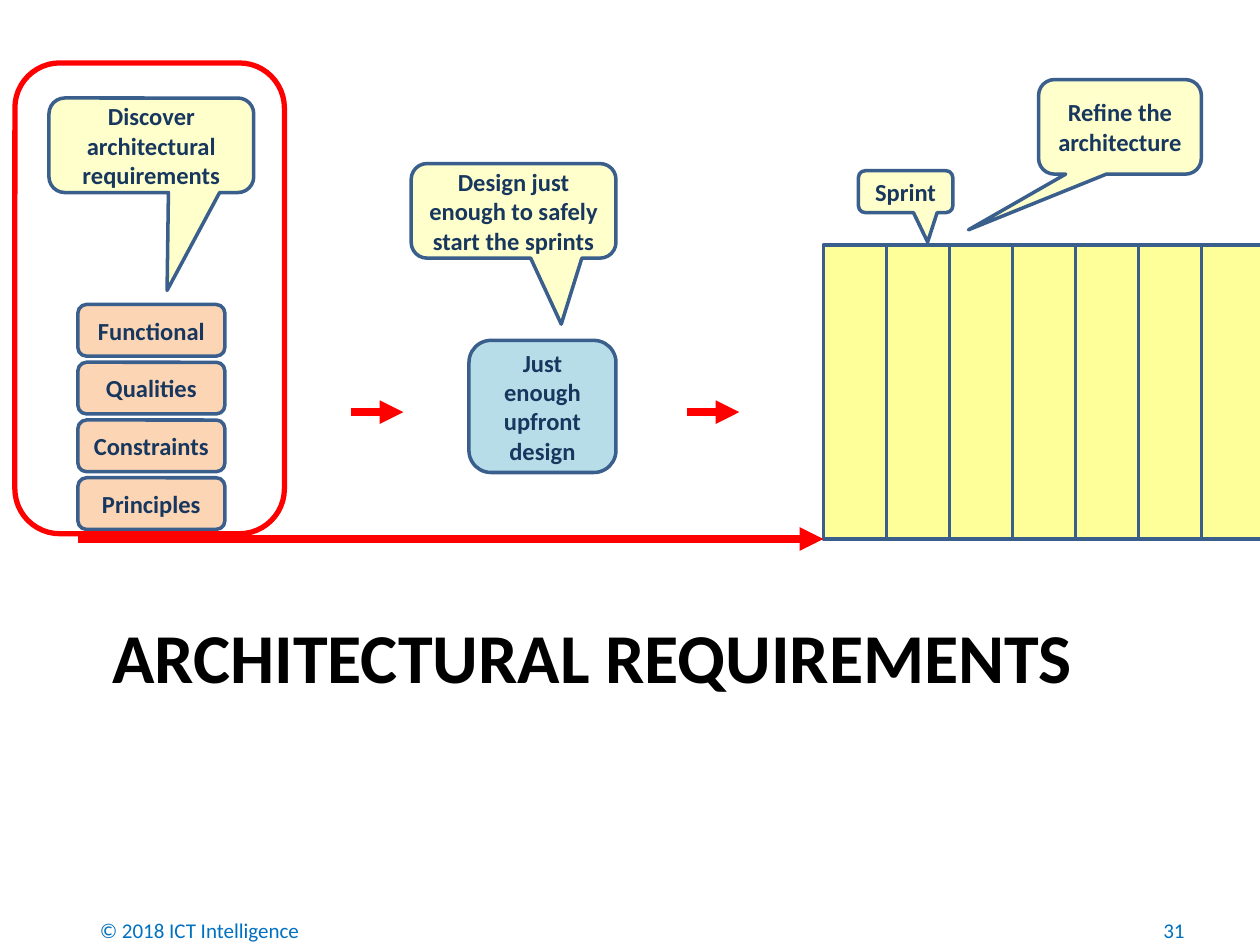
from pptx import Presentation
from pptx.util import Pt
from pptx.dml.color import RGBColor
from pptx.enum import shapes as es, text as et
from pptx.oxml.ns import qn
from lxml import etree

KIND = es.MSO_SHAPE
ALIGN = et.PP_ALIGN
ANCHOR = et.MSO_ANCHOR
BLUE, NAVY, RED, CREAM = "3A5F8C", "17375E", "FF0000", "FFFFCC"


def color(code):
    return RGBColor.from_string(code)


def write(shape, words, size=14, ink=NAVY, bold=True,
          align=ALIGN.CENTER, anchor=ANCHOR.MIDDLE):
    frame = shape.text_frame
    frame.word_wrap = True
    frame.vertical_anchor = anchor
    para = frame.paragraphs[0]
    para.alignment = align
    run = para.add_run()
    run.text = words
    font = run.font
    font.name, font.size, font.bold = "Calibri", Pt(size), bold
    font.color.rgb = color(ink)


def label(slide, box, words, **style):
    write(slide.shapes.add_textbox(*map(Pt, box)), words, **style)


def block(slide, kind, box, fill=None, line=BLUE, width=2, words=None):
    shape = slide.shapes.add_shape(kind, *map(Pt, box))
    shape.shadow.inherit = False
    if fill:
        shape.fill.solid()
        shape.fill.fore_color.rgb = color(fill)
    else:
        shape.fill.background()
    shape.line.color.rgb = color(line)
    shape.line.width = Pt(width)
    if words:
        write(shape, words)
    return shape


def callout(slide, box, words, tip):
    """Draw a speech bubble; tip is its offset as a share of width and height."""
    shape = block(slide, KIND.ROUNDED_RECTANGULAR_CALLOUT, box, CREAM, words=words)
    shape.adjustments[0], shape.adjustments[1] = tip


def arrow(slide, left, y, length):
    link = slide.shapes.add_connector(
        es.MSO_CONNECTOR.STRAIGHT, Pt(left), Pt(y), Pt(left + length), Pt(y))
    link.line.color.rgb = color(RED)
    link.line.width = Pt(4.5)
    etree.SubElement(link.line._get_or_add_ln(), qn("a:tailEnd"), type="triangle")
    etree.SubElement(link._element.spPr, qn("a:effectLst"))


def sprints(slide, left, top, width, height, count=7):
    step = width / count
    for i in range(count):
        block(slide, KIND.RECTANGLE, (left + i * step, top, step, height), "FFFF99")
    callout(slide, (left + 20, top - 42.5, 54, 24), "Sprint", (0.233, 1.199))
    callout(slide, (left + 123, top - 94.5, 93, 54), "Refine the architecture",
            (-0.931, 1.09))


def needs(slide, left, top, width, height):
    callout(slide, (left + 19.5, top + 20, 117, 54),
            "Discover architectural requirements", (0.077, 1.536))
    for i, name in enumerate(("Functional", "Qualities", "Constraints", "Principles")):
        block(slide, KIND.ROUNDED_RECTANGLE,
              (left + 36, top + 138 + i * 33, 84, 29.5), "FCD5B5", words=name)
    block(slide, KIND.ROUNDED_RECTANGLE, (left, top, width, height),
          line=RED, width=3)


def design(slide, left, top, width, height):
    block(slide, KIND.ROUNDED_RECTANGLE,
          (left + width - 84, top + height - 75.5, 84, 75.5), "B7DEE8",
          words="Just enough upfront design")
    callout(slide, (left, top, width, 54),
            "Design just enough to safely start the sprints", (0.233, 1.199))


def footer(slide, top, height):
    style = dict(size=12, ink="0070C0", bold=False)
    label(slide, (516, top, 168, height), "31", align=ALIGN.RIGHT, **style)
    label(slide, (0, top, 228, height), "© 2018 ICT Intelligence", **style)


def main():
    deck = Presentation()
    deck.slide_width, deck.slide_height = Pt(720), Pt(540)
    slide = deck.slides.add_slide(deck.slide_layouts[6])
    label(slide, (57, 347, 612, 107), "ARCHITECTURAL REQUIREMENTS", size=40,
          ink="000000", align=ALIGN.LEFT, anchor=ANCHOR.TOP)
    footer(slide, 517, 29)
    sprints(slide, 470.5, 140, 252, 168)
    arrow(slide, 44.5, 308, 426)
    needs(slide, 8.5, 36, 154, 269)
    design(slide, 235, 93.5, 117, 176.5)
    for left in (200.5, 392.5):
        arrow(slide, left, 235.5, 30)
    deck.save("out.pptx")


if __name__ == "__main__":
    main()
